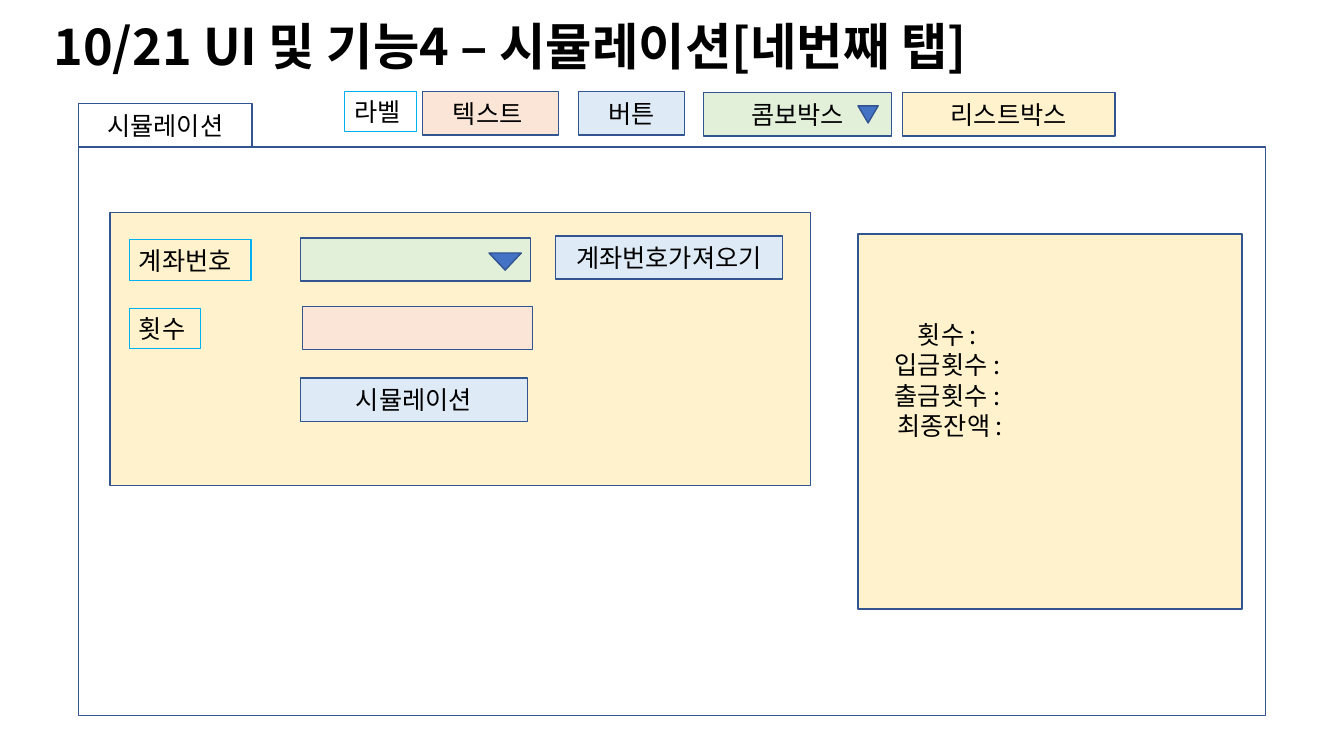
from dataclasses import dataclass

from lxml import etree
from pptx import Presentation
from pptx.dml.color import RGBColor
from pptx.enum import shapes as kinds, text as txt
from pptx.oxml.ns import qn
from pptx.util import Inches, Pt


@dataclass(frozen=True)
class Theme:
    font: str = "Noto Sans CJK KR"
    title_size: int = 36
    body_size: int = 18
    ink: str = "000000"
    border: str = "325491"
    label_border: str = "00B0F0"
    page: str = "FFFFFF"
    button: str = "DEEBF7"
    entry: str = "FBE5D6"
    combo: str = "E2F0D9"
    panel: str = "FFF2CC"
    arrow: str = "4472C4"


theme = Theme()
deck = Presentation()
deck.slide_width, deck.slide_height = Inches(13.33), Inches(7.5)
slide = deck.slides.add_slide(deck.slide_layouts[6])
ROW = 0.43  # height of every control


def write(part, wording, align=txt.PP_ALIGN.CENTER, fit=False,
          size=theme.body_size, bold=False):
    frame = part.text_frame
    frame.text = wording
    frame.word_wrap = not fit
    if fit:
        frame.auto_size = txt.MSO_AUTO_SIZE.SHAPE_TO_FIT_TEXT
    frame.vertical_anchor = txt.MSO_ANCHOR.TOP if fit else txt.MSO_ANCHOR.MIDDLE
    for line in frame.paragraphs:
        line.alignment = align
        line.font.size, line.font.bold = Pt(size), bold
        line.font.color.rgb = RGBColor.from_string(theme.ink)
        line.font.name = theme.font
        # Korean glyphs take the East Asian typeface
        defaults = line._p.find(".//" + qn("a:defRPr"))
        etree.SubElement(defaults, qn("a:ea"), typeface=theme.font)


def draw(left, top, width, height, fill=None, border=theme.border, weight=1,
         kind=kinds.MSO_SHAPE.RECTANGLE):
    part = slide.shapes.add_shape(
        kind, Inches(left), Inches(top), Inches(width), Inches(height))
    part.shadow.inherit = False
    if fill:
        part.fill.solid()
        part.fill.fore_color.rgb = RGBColor.from_string(fill)
    else:
        part.fill.background()
    part.line.color.rgb = RGBColor.from_string(border)
    part.line.width = Pt(weight)
    return part


# Title
title = slide.shapes.add_textbox(Inches(0.43), Inches(0.1), Inches(10.15), Inches(0.71))
write(title, "10/21 UI 및 기능4 – 시뮬레이션[네번째 탭]", txt.PP_ALIGN.LEFT,
      fit=True, size=theme.title_size, bold=True)

# Tab page and the two panels on it
for left, top, width, height, fill in [
    (0.78, 1.46, 11.77, 5.64, theme.page),
    (1.09, 2.11, 6.95, 2.71, theme.panel),
    (8.51, 2.32, 3.81, 3.72, theme.panel),
]:
    draw(left, top, width, height, fill)

# Tab, legend and input controls
for left, top, width, fill, wording in [
    (0.78, 1.03, 1.72, theme.page, "시뮬레이션"),
    (4.19, 0.91, 1.35, theme.entry, "텍스트 "),
    (5.74, 0.91, 1.05, theme.button, "버튼"),
    (6.98, 0.92, 1.86, theme.combo, "콤보박스"),
    (8.95, 0.92, 2.11, theme.panel, "리스트박스"),
    (2.98, 2.36, 2.28, theme.combo, ""),
    (5.51, 2.34, 2.25, theme.button, "계좌번호가져오기"),
    (3.0, 3.04, 2.28, theme.entry, ""),
    (2.98, 3.75, 2.25, theme.button, "시뮬레이션"),
]:
    control = draw(left, top, width, ROW, fill)
    if wording:
        write(control, wording)

# Labels
for left, top, width, wording in [
    (3.42, 0.91, 0.71, "라벨"),
    (1.28, 2.38, 1.21, "계좌번호"),
    (1.28, 3.06, 0.71, "횟수"),
]:
    label = draw(left, top, width, 0.4, border=theme.label_border, weight=0.75)
    write(label, wording, txt.PP_ALIGN.LEFT, fit=True)

# Combo box arrows
for left, top, width in [(8.51, 1.05, 0.2), (4.85, 2.51, 0.32)]:
    arrow = draw(left, top, width, 0.17, theme.arrow,
                 kind=kinds.MSO_SHAPE.ISOSCELES_TRIANGLE)
    arrow.rotation = 180

# Simulation results
results = slide.shapes.add_textbox(Inches(8.7), Inches(3.12), Inches(1.45), Inches(1.62))
write(results, "횟수 : \n입금횟수 : \n출금횟수 : \n최종잔액 :", fit=True)

deck.save("out.pptx")
